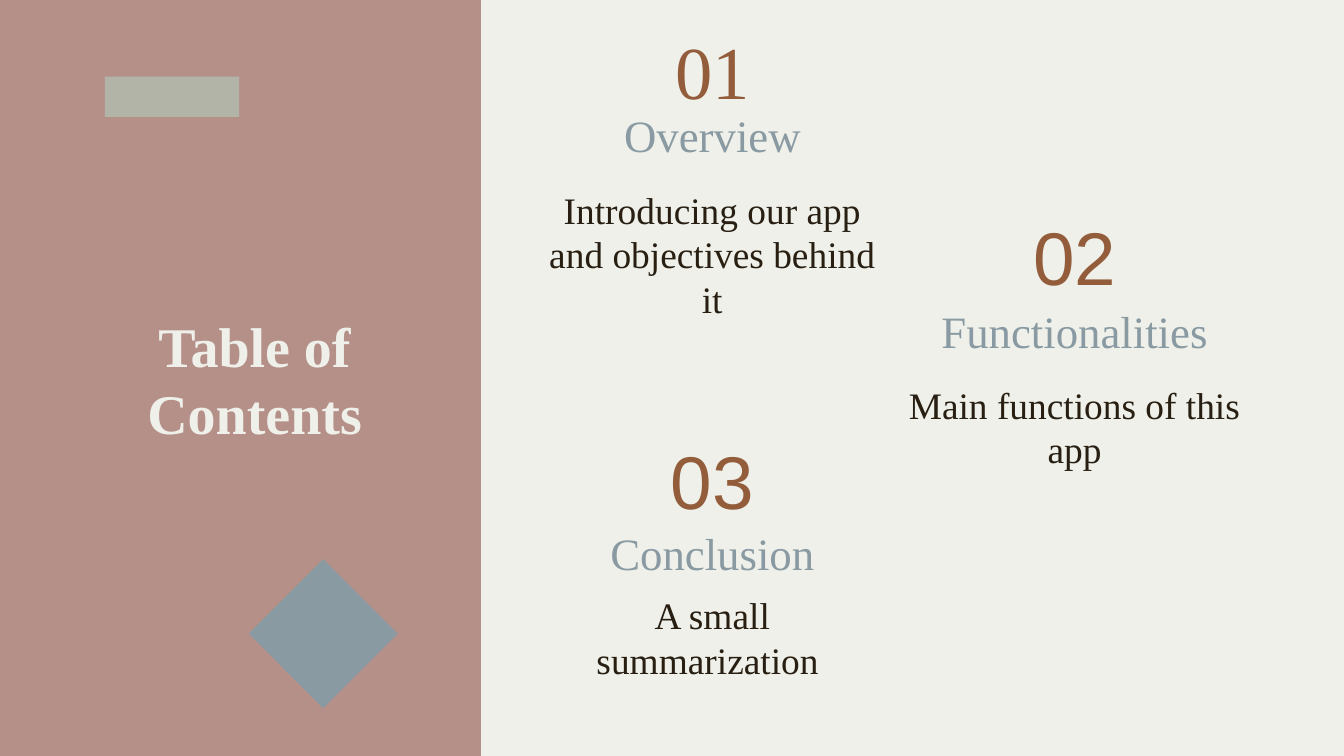
from dataclasses import dataclass

from pptx import Presentation, util as u
from pptx.dml.color import RGBColor
from pptx.enum import shapes, text

COLORS = {
    "rose": "B59089",
    "cream": "EEF0E9",
    "sage": "B1B4A6",
    "slate": "899AA3",
    "rust": "935C3B",
    "ink": "281F12",
}
SERIF, SANS = "Times New Roman", "Arial"
COLUMNS, ROWS = 100, 56.25
LEFT_CENTER, RIGHT_CENTER = 53.0, 79.95
NUMBER_SIZE, HEADING_SIZE, DETAIL_SIZE = (13.9, 4.5), (26.9, 2.8), (26.95, 5.3)

deck = Presentation()
deck.slide_width, deck.slide_height = u.Inches(10), u.Emu(u.Inches(10) * 9 // 16)
CELL_W, CELL_H = deck.slide_width / COLUMNS, deck.slide_height / ROWS


@dataclass(frozen=True)
class Box:
    """A place on the grid, in columns and rows."""
    left: float
    top: float
    width: float
    height: float

    def lengths(self) -> tuple[int, int, int, int]:
        return (round(self.left * CELL_W), round(self.top * CELL_H),
                round(self.width * CELL_W), round(self.height * CELL_H))


@dataclass(frozen=True)
class Entry:
    number: str
    heading: str
    detail: tuple[str, ...]
    center: float
    number_top: float
    heading_top: float
    detail_top: float
    number_font: str = SANS


ENTRIES = [
    Entry("01", "Overview", ("Introducing our app", "and objectives behind it"),
          LEFT_CENTER, 2.9, 9.2, 12.9, SERIF),
    Entry("02", "Functionalities", ("Main functions of this app",),
          RIGHT_CENTER, 16.8, 23.8, 27.4),
    Entry("03", "Conclusion", ("A small summarization ",),
          LEFT_CENTER, 33.4, 40.3, 43.1),
]


def centered(center: float, top: float, size: tuple[float, float]) -> Box:
    return Box(center - size[0] / 2, top, *size)


def add_plain_shape(slide, kind, box: Box, color: str) -> None:
    shape = slide.shapes.add_shape(kind, *box.lengths())
    shape.shadow.inherit = False
    shape.fill.solid()
    shape.fill.fore_color.rgb = RGBColor.from_string(COLORS[color])
    shape.line.fill.background()


def add_text(slide, box: Box, *lines: str, size: float, color: str,
             font: str = SERIF, bold: bool = False,
             anchor=text.MSO_ANCHOR.MIDDLE, inset: float = 0.1) -> None:
    frame = slide.shapes.add_textbox(*box.lengths()).text_frame
    frame.word_wrap = True
    frame.vertical_anchor = anchor
    frame.margin_left = frame.margin_right = u.Inches(0.1)
    frame.margin_top = frame.margin_bottom = u.Inches(inset)
    for index, line in enumerate(lines):
        paragraph = frame.add_paragraph() if index else frame.paragraphs[0]
        paragraph.alignment = text.PP_ALIGN.CENTER
        run = paragraph.add_run()
        run.text = line
        run.font.name, run.font.size, run.font.bold = font, u.Pt(size), bold
        run.font.color.rgb = RGBColor.from_string(COLORS[color])


def add_entry(slide, entry: Entry) -> None:
    add_text(slide, centered(entry.center, entry.number_top, NUMBER_SIZE),
             entry.number, size=40, color="rust", font=entry.number_font)
    add_text(slide, centered(entry.center, entry.detail_top, DETAIL_SIZE),
             *entry.detail, size=20, color="ink", anchor=text.MSO_ANCHOR.TOP)
    add_text(slide, centered(entry.center, entry.heading_top, HEADING_SIZE),
             entry.heading, size=24, color="slate",
             anchor=text.MSO_ANCHOR.BOTTOM, inset=0)


def main() -> None:
    slide = deck.slides.add_slide(deck.slide_layouts[6])
    slide.background.fill.solid()
    slide.background.fill.fore_color.rgb = RGBColor.from_string(COLORS["rose"])

    preset = shapes.MSO_SHAPE
    add_plain_shape(slide, preset.RECTANGLE, Box(35.8, 0, 64.2, ROWS), "cream")
    for entry in ENTRIES:
        add_entry(slide, entry)
    add_text(slide, Box(6.6, 22, 24.7, 12.3), "Table of Contents",
             size=30, color="cream", bold=True)
    add_plain_shape(slide, preset.RECTANGLE, Box(7.8, 5.7, 10, 3), "sage")
    add_plain_shape(slide, preset.DIAMOND, Box(18.5, 41.6, 11.1, 11.1), "slate")
    deck.save("out.pptx")


if __name__ == "__main__":
    main()
